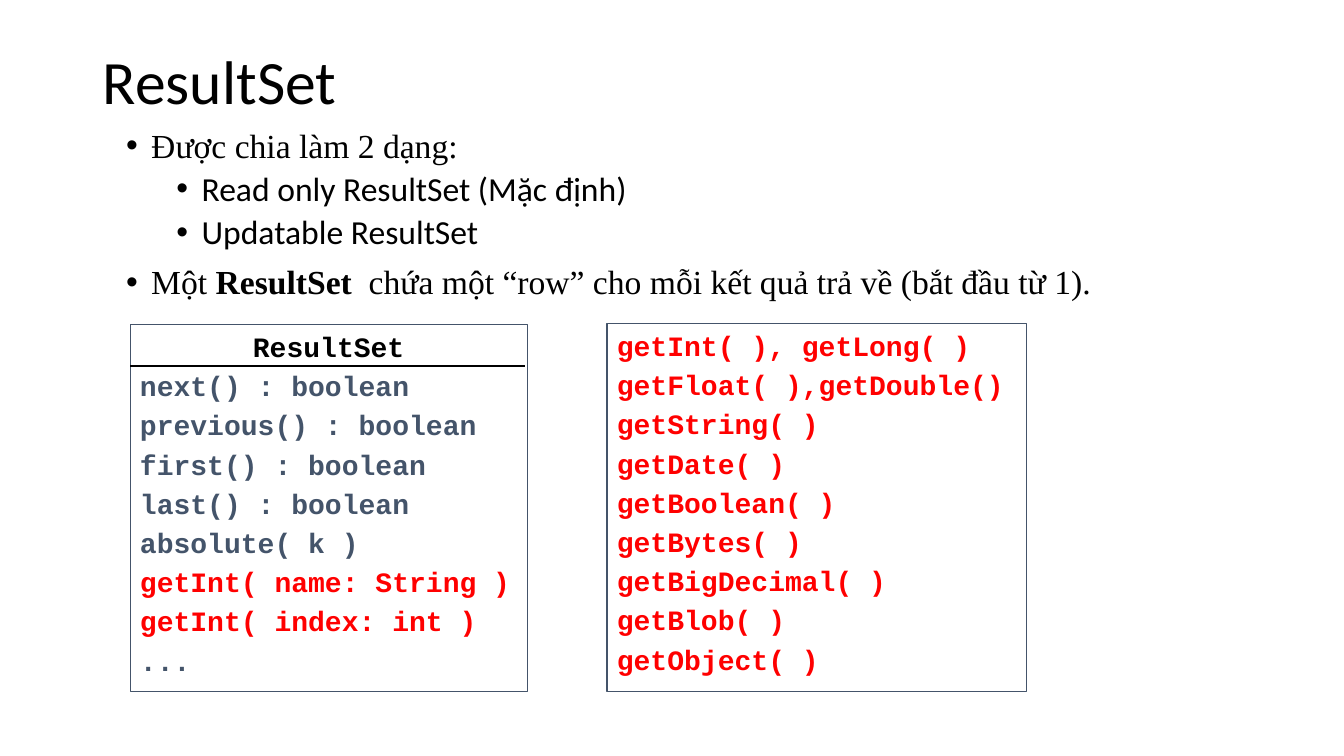
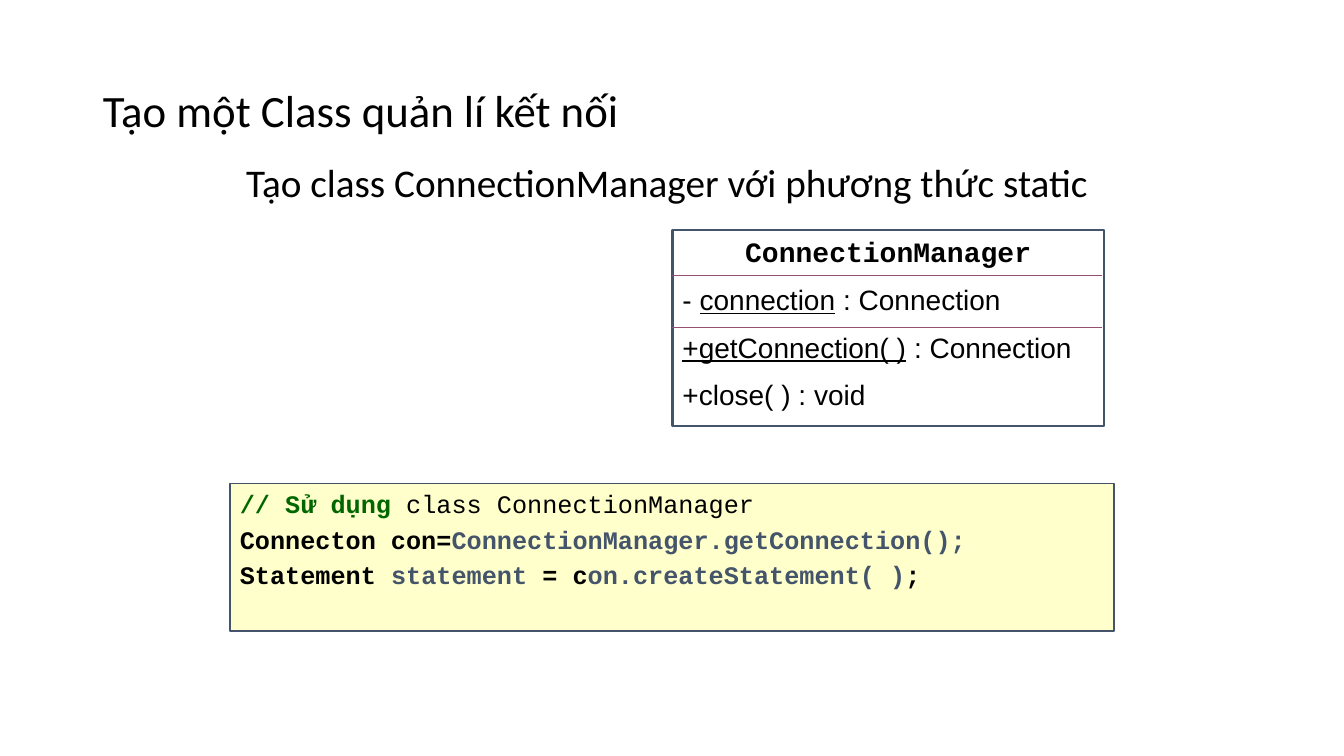
from dataclasses import dataclass, field
from lxml.etree import SubElement
from pptx import Presentation
from pptx.dml.color import RGBColor
from pptx.enum.shapes import MSO_CONNECTOR, MSO_SHAPE
from pptx.enum.text import MSO_ANCHOR, MSO_AUTO_SIZE, PP_ALIGN
from pptx.oxml.ns import qn
from pptx.util import Inches, Pt


@dataclass(frozen=True)
class Theme:
    black: str = "000000"
    slate: str = "44546A"
    red: str = "FF0000"
    plum: str = "954F72"
    green: str = "006600"
    cream: str = "FFFFCC"
    heading: str = "Calibri"
    prose: str = "Times New Roman"
    plain: str = "Arial"
    mono: str = "Courier New"
    title_size: int = 44
    long_title_size: int = 32
    lead_size: int = 28
    body_size: int = 24
    member_size: int = 20
    code_size: int = 18
    tight_gap: float = 0.2  # space between lines, as a share of the type size
    wide_gap: float = 0.5


@dataclass
class Para:
    """Runs are strings or (text, format) pairs; style is the paragraph's default format."""
    runs: list
    style: dict = field(default_factory=dict)
    level: int = 0
    align: PP_ALIGN = PP_ALIGN.LEFT
    before: float = 0


THEME = Theme()
SLIDE_W, SLIDE_H = 13.33, 7.5
SLATE, RED = {"color": THEME.slate}, {"color": THEME.red}
BOLD, UNDERLINED = {"bold": True}, {"underline": True}
HEAD = {"font": THEME.mono, "bold": True}

# Content
RESULTSET_POINTS = [
    Para(["Được chia làm 2 dạng:"]),
    Para(["Read only ResultSet (Mặc định)"], {"font": THEME.heading}, 1, before=5),
    Para(["Updatable ResultSet"], {"font": THEME.heading}, 1, before=5),
    Para(["Một ", ("ResultSet ", BOLD),
          " chứa một “row” cho mỗi kết quả trả về (bắt đầu từ 1)."], before=10),
]
RESULTSET_MEMBERS = [
    [("next() : boolean", SLATE)],
    [("previous() : boolean", SLATE)],
    [("first() : boolean", SLATE)],
    [("last() : boolean", SLATE)],
    [("absolute( k )", SLATE)],
    [("getInt( name: String )", RED)],
    [("getInt( index: int )", RED)],
    [("...", SLATE)],
]
GETTERS = [
    ["getInt( ), getLong( )"], ["getFloat( ),getDouble()"], ["getString( )"],
    ["getDate( )"], ["getBoolean( )"], ["getBytes( )"], ["getBigDecimal( )"],
    ["getBlob( )"], ["getObject( )"],
]
MANAGER_MEMBERS = [
    ["- ", ("connection", UNDERLINED), " : Connection"],
    [("+getConnection( )", UNDERLINED), (" ", {"italic": True}), ": Connection"],
    ["+close( ) : void"],
]
USAGE_CODE = [
    [("// Sử dụng ", {"color": THEME.green}),
     ("class ConnectionManager", {"bold": False})],
    ["Connecton con=", ("ConnectionManager.getConnection();", SLATE)],
    ["Statement ", ("statement", SLATE), " = c", ("on.createStatement( )", SLATE), ";"],
]


def spaced(lines, gap):
    """One paragraph per line of runs, with a gap between neighbours."""
    return [Para(runs, before=gap if i else 0) for i, runs in enumerate(lines)]


def place(shape, left, top, width, height):
    shape.left, shape.top = Inches(left), Inches(top)
    shape.width, shape.height = Inches(width), Inches(height)


def set_bullet(paragraph, level, char):
    """Hanging indent, with the given bullet or none."""
    props = paragraph._p.get_or_add_pPr()
    props.set("marL", str(Inches(0.25 + 0.5 * level)))
    props.set("indent", str(Inches(-0.25)))
    if char:
        SubElement(props, qn("a:buFont")).set("typeface", "Arial")
        SubElement(props, qn("a:buChar")).set("char", char)
    else:
        SubElement(props, qn("a:buNone"))


def add_run(paragraph, text, font, size, color=THEME.black, bold=False,
            italic=False, underline=False):
    run = paragraph.add_run()
    run.text = text
    run.font.name, run.font.size = font, Pt(size)
    run.font.bold, run.font.italic, run.font.underline = bold, italic, underline
    run.font.color.rgb = RGBColor.from_string(color)


def write(shape, paras, anchor=MSO_ANCHOR.TOP, line_spacing=1.0,
          bullet=None, hanging=False, **text_format):
    frame = shape.text_frame
    frame.word_wrap, frame.auto_size = True, MSO_AUTO_SIZE.NONE
    frame.vertical_anchor = anchor
    for i, para in enumerate(paras):
        paragraph = frame.add_paragraph() if i else frame.paragraphs[0]
        paragraph.level = para.level
        if hanging:
            set_bullet(paragraph, para.level, bullet)
        paragraph.alignment = para.align
        paragraph.line_spacing = line_spacing
        paragraph.space_before = Pt(para.before)
        for run in para.runs:
            text, own = (run, {}) if isinstance(run, str) else run
            add_run(paragraph, text, **{**text_format, **para.style, **own})


def start_slide(deck, title, title_height, title_size, points, body_at, **body_format):
    slide = deck.slides.add_slide(deck.slide_layouts[1])
    heading, body = slide.placeholders
    place(heading, 0.92, 0.4, 11.5, title_height)
    write(heading, [Para([title])], anchor=MSO_ANCHOR.MIDDLE, line_spacing=0.9,
          font=THEME.heading, size=title_size)
    place(body, *body_at)
    write(body, points, line_spacing=0.9, hanging=True, **body_format)
    return slide


def add_panel(slide, at, paras, line_width=1.0, fill=None, **text_format):
    panel = slide.shapes.add_shape(MSO_SHAPE.RECTANGLE, *map(Inches, at))
    panel.shadow.inherit = False
    if fill:
        panel.fill.solid()
        panel.fill.fore_color.rgb = RGBColor.from_string(fill)
    else:
        panel.fill.background()
    panel.line.color.rgb = RGBColor.from_string(THEME.slate)
    panel.line.width = Pt(line_width)
    write(panel, paras, **text_format)


def add_class_box(slide, at, name, members, gap, rules, rule_color, rule_width,
                  **panel_format):
    """A class diagram box; rules are the heights of its dividers below the top."""
    header, *rest = spaced([[name], *members], gap)
    header.style, header.align = HEAD, PP_ALIGN.CENTER
    add_panel(slide, at, [header, *rest], size=THEME.member_size, **panel_format)
    left, top, width, _ = at
    for drop in rules:
        divider = slide.shapes.add_connector(
            MSO_CONNECTOR.STRAIGHT, Inches(left), Inches(top + drop),
            Inches(left + width - 0.02), Inches(top + drop))
        divider.line.color.rgb = RGBColor.from_string(rule_color)
        divider.line.width = Pt(rule_width)
        SubElement(divider._element.spPr, qn("a:effectLst"))


def build_resultset(deck):
    slide = start_slide(deck, "ResultSet", 0.88, THEME.title_size, RESULTSET_POINTS,
                        (1.15, 1.23, 9.85, 1.99), bullet="•",
                        font=THEME.prose, size=THEME.body_size)
    gap = THEME.tight_gap * THEME.member_size
    add_class_box(slide, (1.29, 3.22, 3.94, 3.64), "ResultSet", RESULTSET_MEMBERS,
                  gap, [0.41], THEME.black, 1, line_width=0.75,
                  font=THEME.mono, bold=True)
    add_panel(slide, (6.02, 3.21, 4.16, 3.65), spaced(GETTERS, gap),
              font=THEME.mono, size=THEME.member_size, color=THEME.red, bold=True)


def build_connection_manager(deck):
    slide = start_slide(deck, "Tạo một Class quản lí kết nối", 1.45,
                        THEME.long_title_size,
                        [Para(["Tạo class ConnectionManager với phương thức static"])],
                        (2.34, 1.57, 8.66, 0.57),
                        font=THEME.heading, size=THEME.lead_size)
    add_class_box(slide, (6.67, 2.28, 4.28, 1.95), "ConnectionManager",
                  MANAGER_MEMBERS, THEME.wide_gap * THEME.member_size,
                  [0.45, 0.97], THEME.plum, 0.75, line_width=1.5, font=THEME.plain)
    add_panel(slide, (2.28, 4.8, 8.77, 1.46),
              spaced(USAGE_CODE, THEME.tight_gap * THEME.code_size),
              fill=THEME.cream, font=THEME.mono, size=THEME.code_size, bold=True)


def main():
    deck = Presentation()
    deck.slide_width, deck.slide_height = Inches(SLIDE_W), Inches(SLIDE_H)
    build_resultset(deck)
    build_connection_manager(deck)
    deck.save("out.pptx")


if __name__ == "__main__":
    main()
